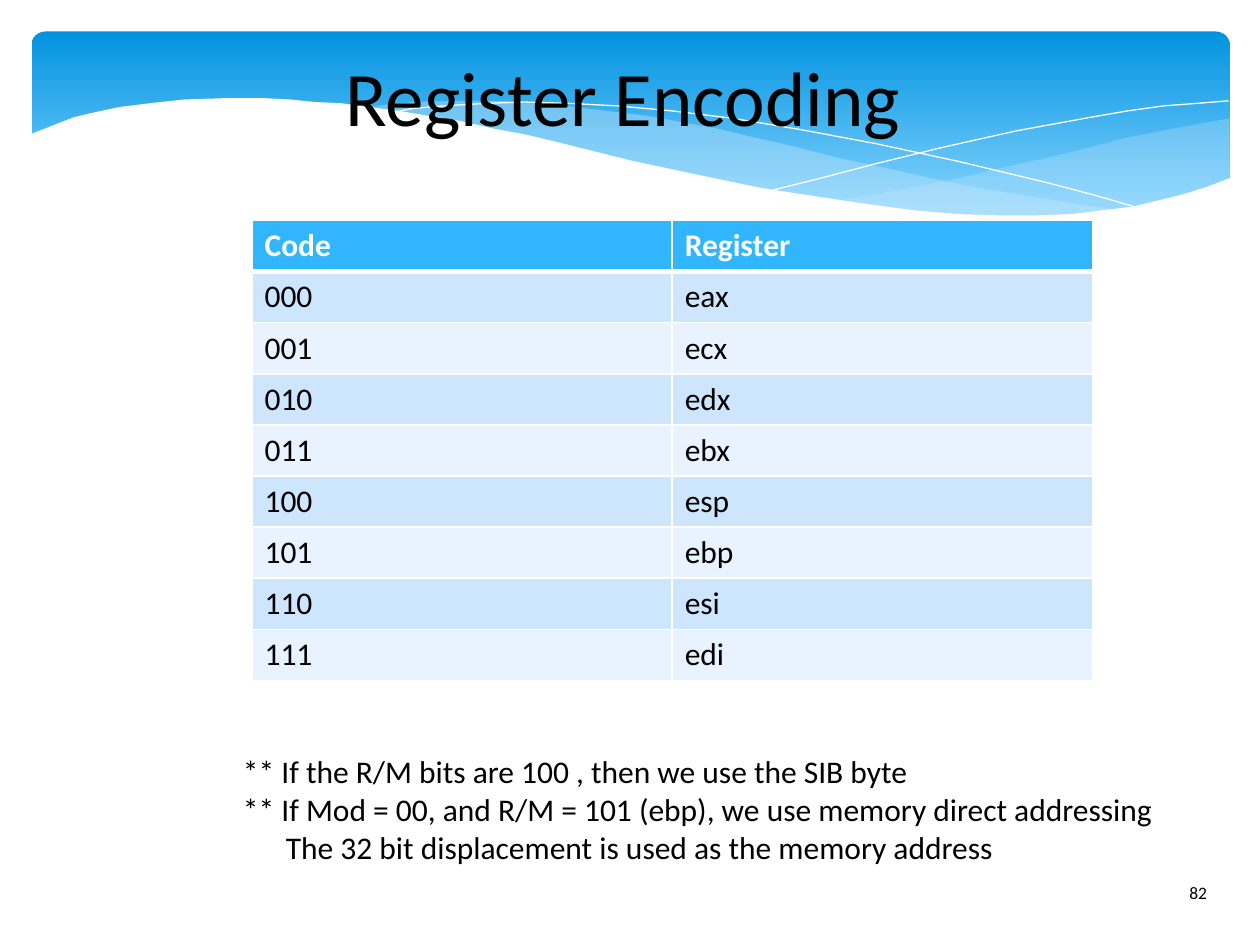
import pptx
import pptx.dml.color
import pptx.enum.shapes
import pptx.enum.text
import pptx.oxml
import pptx.oxml.ns
import pptx.util
from pptx.util import Inches

COLORS = {
    "sky_top": "0293E0", "sky_bottom": "83D3FE", "wave": "C6E7FC",
    "white": "FFFFFF", "black": "000000",
    "header": "31B6FD", "band_dark": "CEE5FE", "band_light": "E8F3FF",
}
RGB = {name: pptx.dml.color.RGBColor.from_string(value) for name, value in COLORS.items()}

deck = pptx.Presentation()
deck.slide_width, deck.slide_height = Inches(10), Inches(7.5)
page = deck.slides.add_slide(deck.slide_layouts[6])


def add_span(para, text, size, color="black", bold=False):
    span = para.add_run()
    span.text = text
    span.font.name = "Calibri"
    span.font.size = pptx.util.Pt(size)
    span.font.bold = bold
    span.font.color.rgb = RGB[color]


def add_curve(points, close):
    corners = [(Inches(x), Inches(y)) for x, y in points]
    builder = page.shapes.build_freeform(*corners[0])
    builder.add_line_segments(corners[1:], close=close)
    curve = builder.convert_to_shape()
    curve.shadow.inherit = False
    return curve


# Blue gradient banner
banner = page.shapes.add_shape(
    pptx.enum.shapes.MSO_SHAPE.ROUNDED_RECTANGLE,
    Inches(0.25), Inches(0.25), Inches(9.51), Inches(1.56))
banner.adjustments[0] = 0.071
banner.shadow.inherit = False
banner.line.fill.background()
banner.fill.gradient()
banner.fill.gradient_angle = 270
for stop, color, position in zip(banner.fill.gradient_stops, ("sky_top", "sky_bottom"), (0, 0.9)):
    stop.color.rgb = RGB[color]
    stop.position = position

# Filled waves: outline, colour and opacity in percent
right_wave = [
    (9.76, 0.94), (9.48, 0.99), (9.21, 1.04), (8.91, 1.1), (8.61, 1.18), (8.32, 1.25),
    (8.05, 1.31), (7.53, 1.43), (7.06, 1.52), (6.61, 1.6), (6.91, 1.64), (7.19, 1.67),
    (7.45, 1.69), (7.69, 1.71), (7.92, 1.72), (8.35, 1.72), (8.63, 1.7), (8.81, 1.67),
    (9.05, 1.63), (9.21, 1.6), (9.35, 1.56), (9.49, 1.52), (9.63, 1.47), (9.76, 1.41),
]
middle_wave = [
    (8.93, 1.67), (8.66, 1.64), (8.37, 1.59), (8.07, 1.54), (7.75, 1.49), (7.41, 1.42),
    (7.06, 1.34), (6.68, 1.26), (6.29, 1.16), (5.98, 1.09), (5.69, 1.02), (5.41, 0.97),
    (5.14, 0.92), (4.89, 0.89), (4.65, 0.86), (4.42, 0.83), (4.2, 0.82), (3.99, 0.8),
    (3.61, 0.8), (3.28, 0.81), (2.99, 0.84), (2.86, 0.86), (3.23, 0.9), (3.62, 0.97),
    (4.04, 1.06), (4.49, 1.16), (4.91, 1.26), (5.3, 1.35), (5.66, 1.43), (6.01, 1.5),
    (6.34, 1.56), (6.65, 1.61), (6.95, 1.65), (7.22, 1.68), (7.48, 1.7), (7.73, 1.72),
    (7.96, 1.73), (8.28, 1.73), (8.48, 1.72), (8.67, 1.7), (8.84, 1.68),
]
white_wave = [
    (9.77, 1.41), (9.59, 1.48), (9.4, 1.54), (9.2, 1.59), (8.99, 1.64), (8.75, 1.67),
    (8.5, 1.7), (8.23, 1.71), (7.93, 1.71), (7.61, 1.7), (7.26, 1.67), (6.88, 1.62),
    (6.48, 1.56), (6.03, 1.49), (5.55, 1.39), (5.03, 1.28), (4.47, 1.14), (4.18, 1.07),
    (3.91, 1.02), (3.65, 0.96), (3.4, 0.92), (3.16, 0.88), (2.92, 0.85), (2.71, 0.82),
    (2.5, 0.81), (2.3, 0.79), (2.11, 0.78), (1.77, 0.78), (1.46, 0.79), (1.19, 0.82),
    (0.95, 0.85), (0.76, 0.89), (0.59, 0.93), (0.46, 0.98), (0.36, 1.02), (0.23, 1.07),
    (0.23, 2.24), (9.77, 2.24),
]
# Thin white lines
falling_line = [
    (3.09, 0.9), (3.28, 0.86), (3.53, 0.84), (3.87, 0.82), (4.16, 0.81), (4.5, 0.82),
    (4.89, 0.84), (5.33, 0.88), (5.82, 0.94), (6.36, 1.03), (6.95, 1.14), (7.6, 1.28),
    (8.31, 1.45), (8.69, 1.55), (9.07, 1.66),
]
rising_line = [
    (6.13, 1.51), (6.53, 1.41), (6.95, 1.3), (7.48, 1.17), (8.06, 1.04), (8.66, 0.93),
    (8.95, 0.88), (9.24, 0.84), (9.51, 0.82), (9.75, 0.8),
]

for outline, color, opacity in (
    (right_wave, "wave", 29), (middle_wave, "wave", 40),
    (falling_line, None, None), (rising_line, None, None),
    (white_wave, "white", 100),
):
    curve = add_curve(outline, close=color is not None)
    if color is None:
        curve.fill.background()
        curve.line.color.rgb = RGB["white"]
        curve.line.width = pptx.util.Pt(0)
        continue
    curve.line.fill.background()
    curve.fill.solid()
    curve.fill.fore_color.rgb = RGB[color]
    if opacity < 100:
        tint = curve.fill._xPr.find(".//" + pptx.oxml.ns.qn("a:srgbClr"))
        tint.append(pptx.oxml.parse_xml(
            f'<a:alpha {pptx.oxml.ns.nsdecls("a")} val="{opacity * 1000}"/>'))

# Slide number
box = page.shapes.add_textbox(Inches(9.34), Inches(6.95), Inches(0.61), Inches(0.4))
box.text_frame.word_wrap = True
add_span(box.text_frame.paragraphs[0], "82", 10)

# Title
box = page.shapes.add_textbox(Inches(0.89), Inches(0.25), Inches(8.11), Inches(1.02))
frame = box.text_frame
frame.word_wrap = True
frame.margin_left = frame.margin_right = frame.margin_top = frame.margin_bottom = 0
frame.vertical_anchor = pptx.enum.text.MSO_ANCHOR.MIDDLE
frame.paragraphs[0].alignment = pptx.enum.text.PP_ALIGN.CENTER
add_span(frame.paragraphs[0], "Register Encoding", 44)

# Register table: codes count up in binary
registers = ["eax", "ecx", "edx", "ebx", "esp", "ebp", "esi", "edi"]
rows = [("Code", "Register")] + [(f"{code:03b}", name) for code, name in enumerate(registers)]
table = page.shapes.add_table(
    len(rows), 2, Inches(2), Inches(1.75), Inches(6.67), Inches(3.65)).table
for row_index, row in enumerate(rows):
    is_header = row_index == 0
    band = "header" if is_header else ("band_light", "band_dark")[row_index % 2]
    for column_index, text in enumerate(row):
        cell = table.cell(row_index, column_index)
        add_span(cell.text_frame.paragraphs[0], text, 18,
                 "white" if is_header else "black", is_header)
        borders = {"lnL": 1, "lnR": 1, "lnT": 3 if row_index == 1 else 1,
                   "lnB": 3 if is_header else 1}
        for side, points in borders.items():
            cell._tc.get_or_add_tcPr().append(pptx.oxml.parse_xml(
                f'<a:{side} {pptx.oxml.ns.nsdecls("a")} w="{points * 12700}"><a:solidFill>'
                f'<a:srgbClr val="{COLORS["white"]}"/></a:solidFill></a:{side}>'))
        cell.fill.solid()
        cell.fill.fore_color.rgb = RGB[band]

# Notes under the table, the second with a hanging indent
box = page.shapes.add_textbox(Inches(1.83), Inches(5.92), Inches(7.62), Inches(1.01))
frame = box.text_frame
frame.word_wrap = False
frame.auto_size = pptx.enum.text.MSO_AUTO_SIZE.SHAPE_TO_FIT_TEXT
add_span(frame.paragraphs[0], "** If the R/M bits are 100 , then we use the SIB byte", 18)
para = frame.add_paragraph()
hanging = Inches(0.34)
para._p.get_or_add_pPr().set("marL", str(hanging))
para._p.get_or_add_pPr().set("indent", str(-hanging))
add_span(para, "** If Mod = 00, and R/M = 101 (ebp), we use memory direct addressing", 18)
para.add_line_break()
add_span(para, "The 32 bit displacement is used as the memory address", 18)

deck.save("out.pptx")
